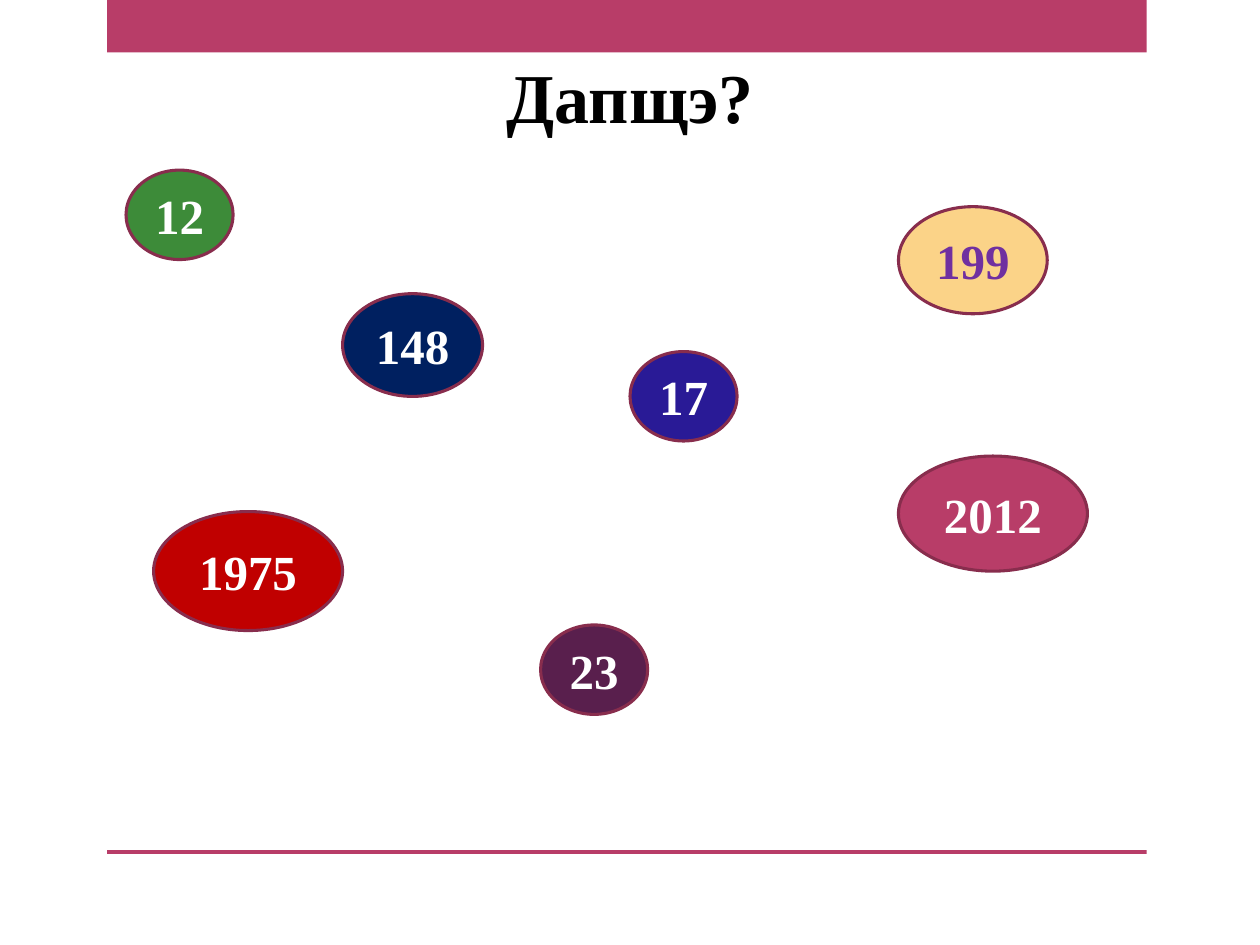
import pptx
import pptx.dml.color
import pptx.enum.shapes
import pptx.enum.text
import pptx.util

Pt = pptx.util.Pt
SHAPE = pptx.enum.shapes.MSO_SHAPE
FONT = "Times New Roman"
ACCENT = "B83D68"
OUTLINE = "882D4D"

# number, left, top, width, height, fill, text colour
NUMBERS = [
    ("12", 72, 97.2, 61.2, 51.1, "3D8B39", "FFFFFF"),
    ("199", 513.4, 118.1, 85, 61.2, "FBD388", "7030A0"),
    ("1975", 87.8, 292.3, 108, 68, "C00000", "FFFFFF"),
    ("17", 360, 200.9, 61.2, 51.1, "291A96", "FFFFFF"),
    ("23", 308.9, 357.1, 61.2, 51.1, "591F4D", "FFFFFF"),
    ("2012", 513.4, 260.6, 108, 65.8, ACCENT, "FFFFFF"),
    ("148", 195.8, 167.8, 80, 58.7, "002060", "FFFFFF"),
]


def rgb(color):
    return pptx.dml.color.RGBColor.from_string(color)


def set_text(shape, text, size, color):
    tf = shape.text_frame
    tf.text = text
    tf.word_wrap = False
    tf.vertical_anchor = pptx.enum.text.MSO_ANCHOR.MIDDLE
    p = tf.paragraphs[0]
    p.alignment = pptx.enum.text.PP_ALIGN.CENTER
    font = p.runs[0].font
    font.name, font.size, font.bold = FONT, Pt(size), True
    font.color.rgb = rgb(color)


def add_filled(s, kind, left, top, width, height, fill):
    sp = s.shapes.add_shape(kind, Pt(left), Pt(top), Pt(width), Pt(height))
    sp.shadow.inherit = False
    sp.fill.solid()
    sp.fill.fore_color.rgb = rgb(fill)
    return sp


def add_band(s, top, height):
    sp = add_filled(s, SHAPE.RECTANGLE, 61.2, top, 594, height, ACCENT)
    sp.line.fill.background()


def add_title(s, text):
    sp = s.shapes.add_textbox(Pt(17), Pt(21), Pt(686), Pt(67.5))
    set_text(sp, text, 40, "000000")
    sp.text_frame.word_wrap = True


def add_number(s, text, left, top, width, height, fill, color):
    sp = add_filled(s, SHAPE.OVAL, left, top, width, height, fill)
    sp.line.color.rgb = rgb(OUTLINE)
    sp.line.width = Pt(1.75)
    set_text(sp, text, 28, color)


def main():
    prs = pptx.Presentation()
    prs.slide_width, prs.slide_height = Pt(720), Pt(540)
    s = prs.slides.add_slide(prs.slide_layouts[6])

    # Bands at top and bottom
    add_band(s, 0, 30)
    add_band(s, 485.8, 2.2)

    # Title and scattered numbers
    add_title(s, "Дапщэ?")
    for number in NUMBERS:
        add_number(s, *number)

    prs.save("out.pptx")


if __name__ == "__main__":
    main()
